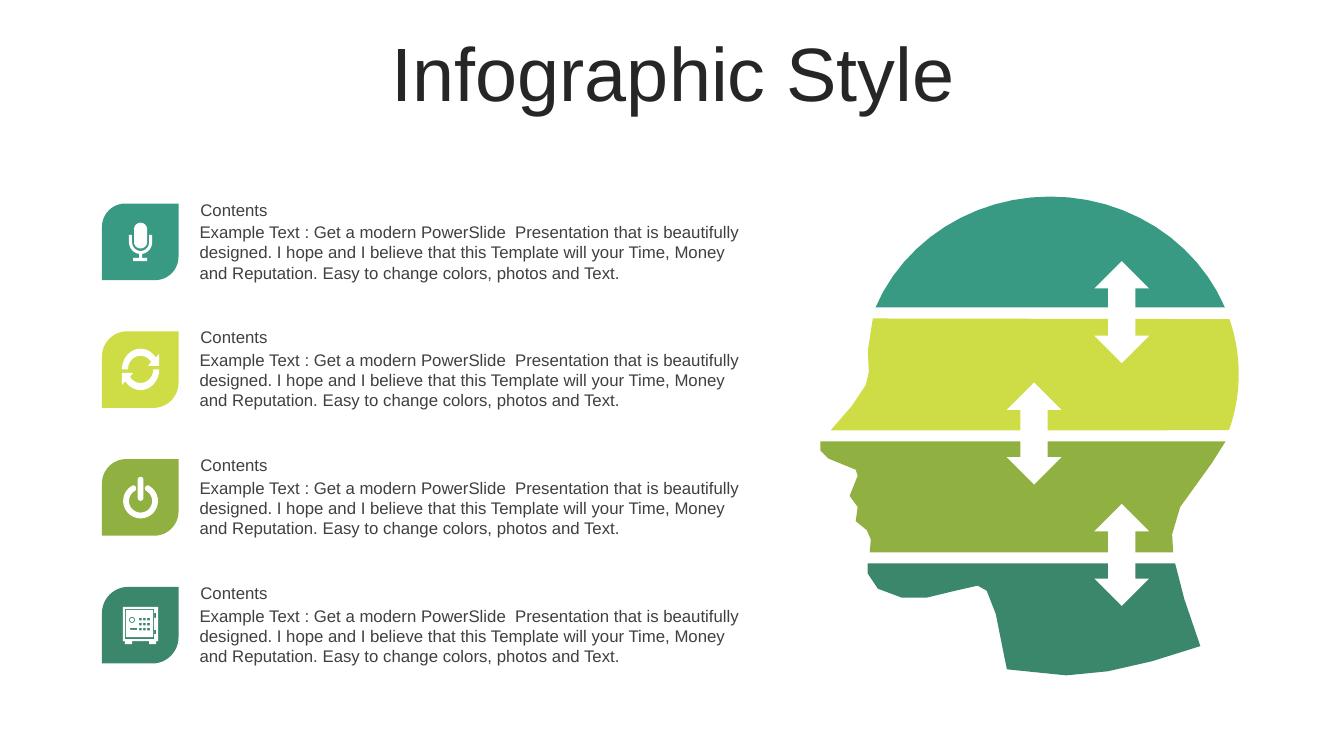
from math import cos, radians, sin

from pptx import Presentation
from pptx.dml.color import RGBColor
from pptx.enum.shapes import MSO_SHAPE
from pptx.enum.text import MSO_ANCHOR, MSO_AUTO_SIZE, PP_ALIGN
from pptx.util import Cm, Pt

LEAF = MSO_SHAPE.ROUND_2_DIAG_RECTANGLE
ARROW = MSO_SHAPE.UP_DOWN_ARROW
LEFT, CENTER = PP_ALIGN.LEFT, PP_ALIGN.CENTER
TOP, MIDDLE = MSO_ANCHOR.TOP, MSO_ANCHOR.MIDDLE
GROW, FIXED = MSO_AUTO_SIZE.SHAPE_TO_FIT_TEXT, MSO_AUTO_SIZE.NONE

COLORS = {
    "title": "262626", "text": "404040", "white": "FFFFFF",
    "teal": "399A84", "lime": "CEDD46", "olive": "90B141", "pine": "3A876B",
}
BODY = ("Example Text : Get a modern PowerSlide  Presentation that is beautifully designed. "
        "I hope and I believe that this Template will your Time, Money and Reputation. "
        "Easy to change colors, photos and Text.")

prs = Presentation()
prs.slide_width, prs.slide_height = Cm(33.87), Cm(19.05)
s = prs.slides.add_slide(prs.slide_layouts[6])


def add_text(text, x, y, w, h, size=12, color="text", align=LEFT, anchor=TOP,
             fit=GROW, spacing=1.0):
    tf = s.shapes.add_textbox(Cm(x), Cm(y), Cm(w), Cm(h)).text_frame
    tf.word_wrap = True
    tf.auto_size = fit
    tf.vertical_anchor = anchor
    p = tf.paragraphs[0]
    p.alignment = align
    p.line_spacing = spacing
    r = p.add_run()
    r.text = text
    r.font.name = "Arial"
    r.font.size = Pt(size)
    r.font.color.rgb = RGBColor.from_string(COLORS[color])


def add_outline(color, contours):
    builder = None
    for contour in contours:
        points = []
        for item in contour:
            if len(item) == 2:
                points.append(item)
            elif len(item) == 4:
                left, top, right, bottom = item
                points += [(left, top), (right, top), (right, bottom), (left, bottom)]
            else:
                cx, cy, rx, ry, start, end = item
                angles = [radians(start + (end - start) * i / 24) for i in range(25)]
                points += [(cx + rx * cos(a), cy + ry * sin(a)) for a in angles]
        points = [(x * 25.4, y * 25.4) for x, y in points]
        if builder is None:
            builder = s.shapes.build_freeform(*points[0], scale=Cm(0.001))
        else:
            builder.move_to(*points[0])
        builder.add_line_segments(points[1:], close=True)
    sp = builder.convert_to_shape()
    sp.shadow.inherit = False
    sp.fill.solid()
    sp.fill.fore_color.rgb = RGBColor.from_string(COLORS[color])
    sp.line.fill.background()


cx = 139.5
microphone = [
    [(151, 233), (cx, 240, 11.5, 12, 0, 180), (128, 233), (131, 233),
     (cx, 240, 8.5, 9, 180, 0), (148, 233)],
    [(cx, 227.5, 6.5, 6.5, 180, 360), (cx, 240, 6.5, 6.5, 0, 180)],
    [(138, 252, 141, 256)],
    [(132, 256, 146, 259)],
]
refresh = [
    [(cx, 366.5, 18.5, 20.5, turn + 180, turn + 325)]
    + [(cx + k * dx, 366.5 + k * dy)
       for dx, dy in [(18.5, -15.5), (18.5, -3.5), (7.5, -3.5), (10.5, -7.5)]]
    + [(cx, 366.5, 12.5, 13.5, turn + 325, turn + 180)]
    for k, turn in [(1, 0), (-1, 180)]
]
power = [
    [(cx, 497, 17.3, 17.3, -60, 240), (132.3, 484.5, 2.9, 2.9, 240, 420),
     (cx, 497, 11.5, 11.5, 240, -60), (146.7, 484.5, 2.9, 2.9, 120, 300)],
    [(cx, 475.8, 2.8, 2.8, 180, 360), (cx, 494, 2.8, 2.8, 0, 180)],
]
safe = [[box] for box in [(122, 602, 157, 636), (124, 604, 153, 634), (125, 605, 152, 632),
                          (153, 608, 155, 613), (153, 625, 155, 629),
                          (124, 636, 131, 639), (148, 636, 155, 639), (129, 623, 136, 625)]]
safe += [[(131, 615, radius, radius, 0, 360)] for radius in (3, 2)]
safe += [[(x, y, x + 2.6, y + 2.4)] for x in (138, 142, 146) for y in (613, 618, 623)]

add_text("Infographic Style", 0.89, 0.94, 32.16, 2.01, size=54, color="title",
         align=CENTER, anchor=MIDDLE, fit=FIXED, spacing=0.9)

rows = [("teal", 0.305, microphone), ("lime", 0.33, refresh),
        ("olive", 0.317, power), ("pine", 0.343, safe)]
for i, (color, rounding, icon) in enumerate(rows):
    y = 5.13 + 3.22 * i
    sp = s.shapes.add_shape(LEAF, Cm(2.57), Cm(y), Cm(1.93), Cm(1.93))
    sp.adjustments[0] = rounding
    sp.shadow.inherit = False
    sp.fill.solid()
    sp.fill.fore_color.rgb = RGBColor.from_string(COLORS[color])
    sp.line.fill.background()
    add_text(BODY, 4.78, y + 0.34, 14.58, 1.8)
    add_text("Contents", 4.8, y - 0.23, 14.63, 0.76)
    add_outline("white", icon)

skull = (1042, 371, 187, 176)
head = {
    "teal": [(*skull, 202, 338)],
    "pine": [(861, 559), (1166, 559), (1175, 594), (1191, 641), (1143, 656), (1099, 666),
             (1058, 670), (999, 664), (988, 609), (979, 586), (970, 581), (948, 586),
             (919, 593), (895, 593), (871, 584), (861, 569)],
    "lime": [(*skull, -18, 18.5), (824, 427), (845, 403), (859, 382), (862, 369),
             (861, 348), (866, 316)],
    "olive": [(814, 438), (1216, 438), (1202, 460), (1171, 503), (1163, 530), (1164, 548),
              (863, 548), (864, 535), (860, 526), (849, 517), (851, 503), (843, 492),
              (851, 472), (849, 466), (822, 455), (814, 447)],
}
for color, band in head.items():
    add_outline(color, [band])

for i, x in enumerate([27.58, 25.37, 27.58]):
    sp = s.shapes.add_shape(ARROW, Cm(x), Cm(6.58 + 3.06 * i), Cm(1.38), Cm(2.57))
    sp.shadow.inherit = False
    sp.fill.solid()
    sp.fill.fore_color.rgb = RGBColor.from_string(COLORS["white"])
    sp.line.fill.background()

prs.save("out.pptx")
